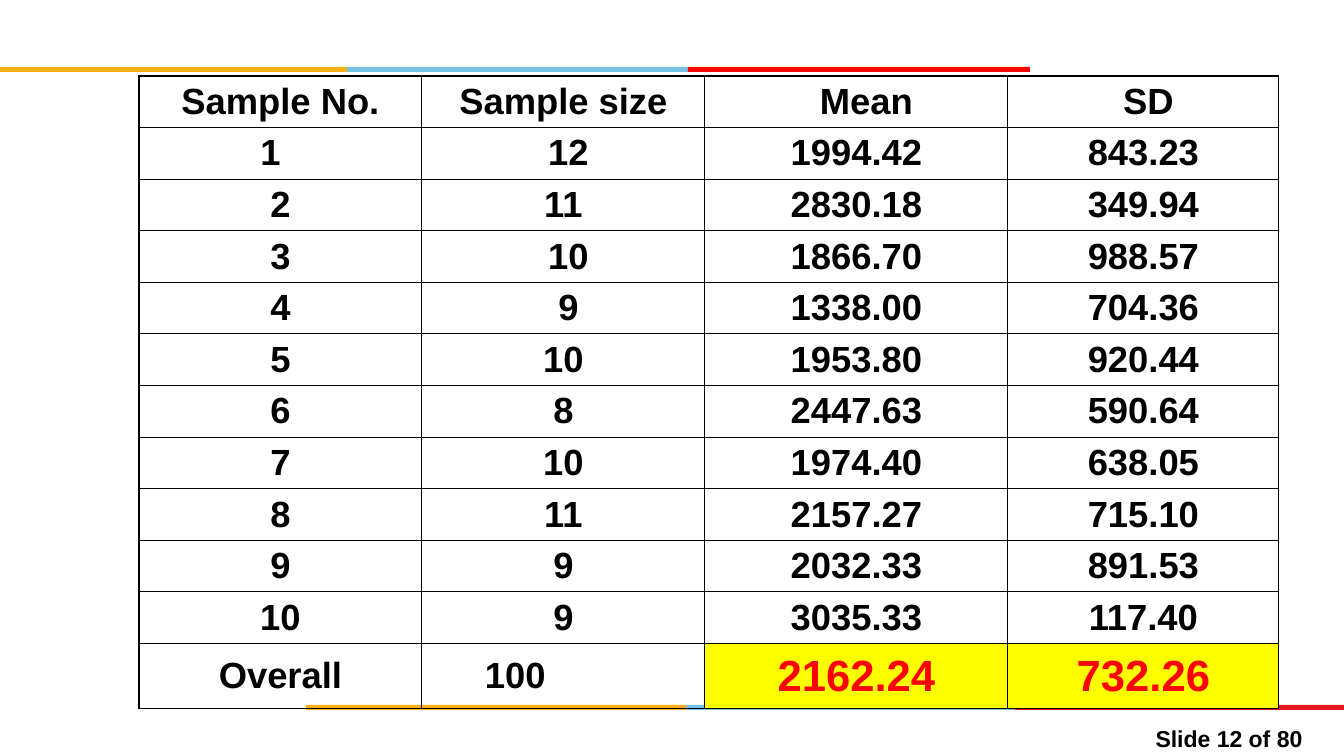
from lxml import etree
from pptx import Presentation
from pptx.dml.color import RGBColor
from pptx.enum.shapes import MSO_SHAPE
from pptx.enum.text import MSO_ANCHOR, PP_ALIGN
from pptx.oxml.ns import qn
from pptx.util import Pt

SCALE = 914400 / 87.3
RECTANGLE = MSO_SHAPE.RECTANGLE
MIDDLE = MSO_ANCHOR.MIDDLE
LEFT, CENTER, RIGHT = PP_ALIGN.LEFT, PP_ALIGN.CENTER, PP_ALIGN.RIGHT
COLORS = {"orange": "FCB017", "blue": "76C2E5", "red": "FF0000",
          "crimson": "E31C24", "black": "000000", "yellow": "FFFF00"}
BODY_FORMAT = {"name": "Arial", "size": Pt(30), "bold": True}
TOTAL_FORMAT = BODY_FORMAT | {"size": Pt(36)}
FOOTER_FORMAT = BODY_FORMAT | {"size": Pt(19)}

COLUMN_EDGES = [0, 283, 566, 869, 1140]
ROW_HEIGHT, TOTAL_HEIGHT = 51.6, 65
CELL_MARGIN, INDENT = 13, 50
SAMPLES = [
    ("Sample No.", "Sample size", "Mean", "SD"),
    ("1", "12", "1994.42", "843.23"),
    ("2", "11", "2830.18", "349.94"),
    ("3", "10", "1866.70", "988.57"),
    ("4", "9", "1338.00", "704.36"),
    ("5", "10", "1953.80", "920.44"),
    ("6", "8", "2447.63", "590.64"),
    ("7", "10", "1974.40", "638.05"),
    ("8", "11", "2157.27", "715.10"),
    ("9", "9", "2032.33", "891.53"),
    ("10", "9", "3035.33", "117.40"),
    ("Overall", "100", "2162.24", "732.26"),
]
# Sideways shift of centred text, by (row, column)
SHIFTS = {(0, 2): 10, (0, 3): 5, (1, 0): -10, (1, 1): 5, (3, 1): 5, (4, 1): 5}


def px(length):
    """Turn pixels into EMU."""
    return round(length * SCALE)


def color(name):
    """Look up a named colour."""
    return RGBColor.from_string(COLORS[name])


def write(text_frame, text, font_format, color_name, alignment):
    """Write one formatted paragraph."""
    paragraph = text_frame.paragraphs[0]
    paragraph.alignment = alignment
    run = paragraph.add_run()
    run.text = text
    for attribute, value in font_format.items():
        setattr(run.font, attribute, value)
    run.font.color.rgb = color(color_name)


def add_stripe(slide, edges, top, height, color_names):
    """Draw a row of touching coloured bars between the given edges."""
    for left, right, name in zip(edges, edges[1:], color_names):
        shape = slide.shapes.add_shape(
            RECTANGLE, px(left), px(top), px(right - left), px(height))
        shape.shadow.inherit = False
        shape.fill.solid()
        shape.fill.fore_color.rgb = color(name)
        shape.line.fill.background()


def add_borders(cell):
    """Give a cell thin black lines on all sides, placed before its fill."""
    properties = cell._tc.get_or_add_tcPr()
    for index, side in enumerate(("lnL", "lnR", "lnT", "lnB")):
        line = etree.Element(qn(f"a:{side}"), w=str(Pt(1)))
        fill = etree.SubElement(line, qn("a:solidFill"))
        etree.SubElement(fill, qn("a:srgbClr"), val=COLORS["black"])
        properties.insert(index, line)


def fill_cell(cell, row, column, text):
    """Format one cell and write its text."""
    is_total = row == len(SAMPLES) - 1
    highlighted = is_total and column >= 2
    indented = is_total and column == 1
    shift = SHIFTS.get((row, column), 0)
    margins = {
        "margin_left": CELL_MARGIN + max(2 * shift, 0) + INDENT * indented,
        "margin_right": CELL_MARGIN + max(-2 * shift, 0),
        "margin_top": 2, "margin_bottom": 2}
    for attribute, value in margins.items():
        setattr(cell, attribute, px(value))
    cell.vertical_anchor = MIDDLE
    if highlighted:
        cell.fill.solid()
        cell.fill.fore_color.rgb = color("yellow")
    else:
        cell.fill.background()
    add_borders(cell)
    write(cell.text_frame, text, TOTAL_FORMAT if highlighted else BODY_FORMAT,
          "red" if highlighted else "black", LEFT if indented else CENTER)


def add_sample_table(slide, left, top):
    """Add the table of sample sizes, means and deviations."""
    heights = [ROW_HEIGHT] * (len(SAMPLES) - 1) + [TOTAL_HEIGHT]
    table = slide.shapes.add_table(
        len(SAMPLES), len(SAMPLES[0]), px(left), px(top),
        px(COLUMN_EDGES[-1]), px(sum(heights))).table
    table.first_row = table.horz_banding = False
    for column, start, end in zip(table.columns, COLUMN_EDGES, COLUMN_EDGES[1:]):
        column.width = px(end - start)
    for row, height in zip(table.rows, heights):
        row.height = px(height)
    for row, sample in enumerate(SAMPLES):
        for column, text in enumerate(sample):
            fill_cell(table.cell(row, column), row, column, text)


def add_footer(slide, left, top, width, height):
    """Add the slide count."""
    text_frame = slide.shapes.add_textbox(
        px(left), px(top), px(width), px(height)).text_frame
    text_frame.word_wrap = True
    text_frame.vertical_anchor = MIDDLE
    write(text_frame, "Slide 12 of 80", FOOTER_FORMAT, "black", RIGHT)


def main():
    """Build and save the slide."""
    presentation = Presentation()
    presentation.slide_width, presentation.slide_height = px(1344), px(756)
    slide = presentation.slides.add_slide(presentation.slide_layouts[6])
    add_stripe(slide, (306, 686, 1015, 1344), 705, 5, ("orange", "blue", "crimson"))
    add_stripe(slide, (0, 347, 688, 1030), 67, 5, ("orange", "blue", "red"))
    add_footer(slide, 1100, 721, 211, 34)
    add_sample_table(slide, 139, 76)
    presentation.save("out.pptx")


main()
